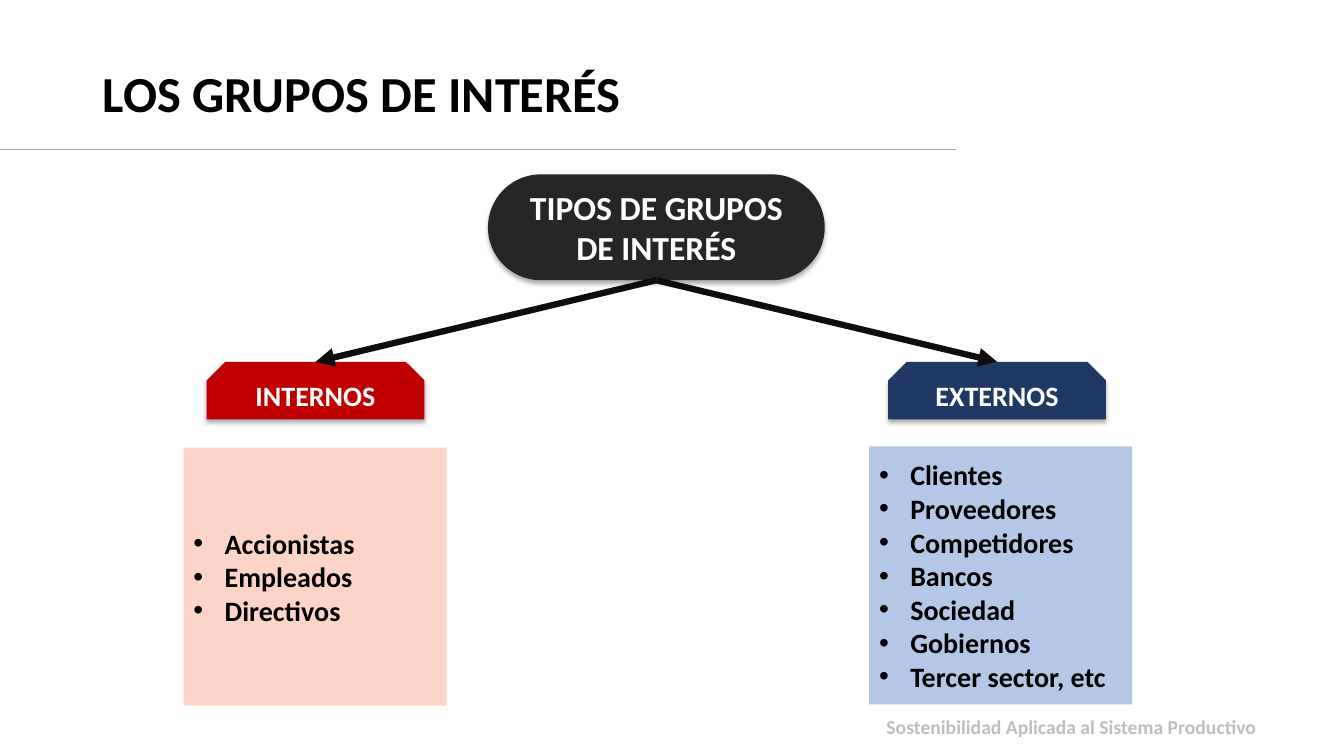
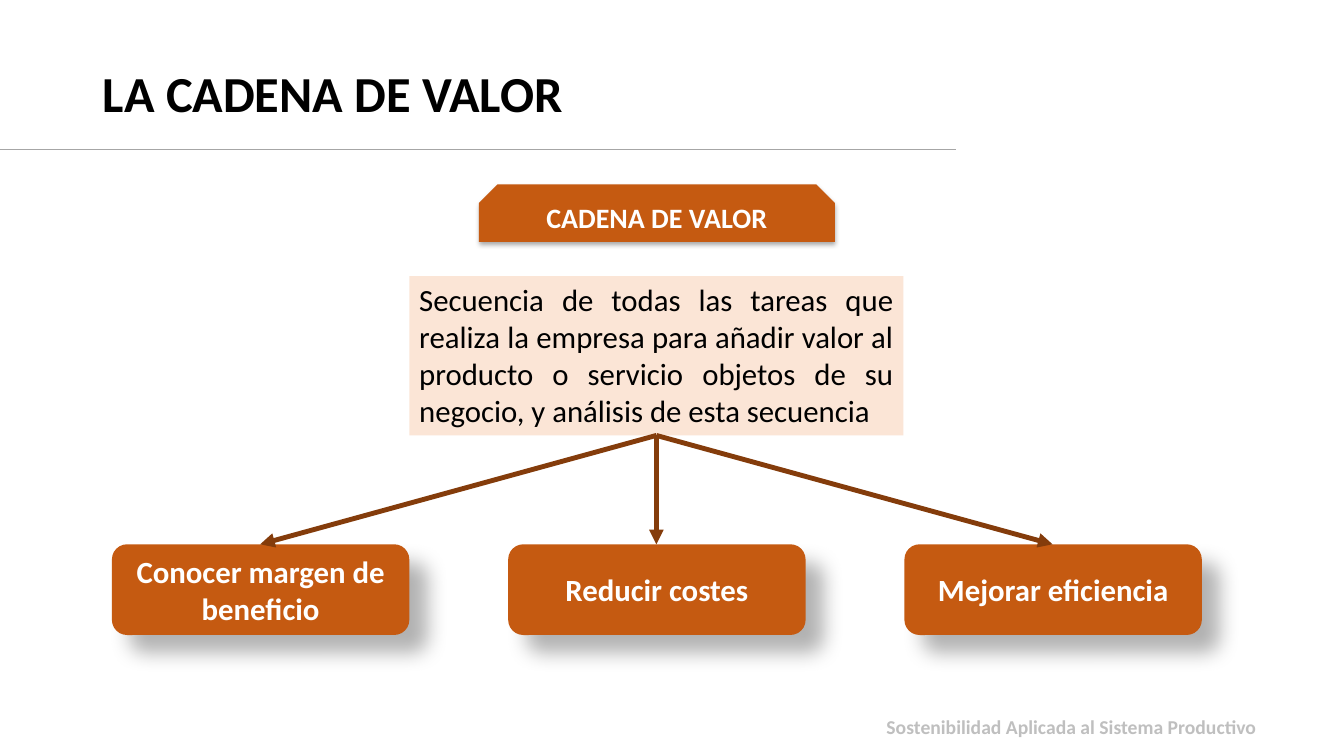
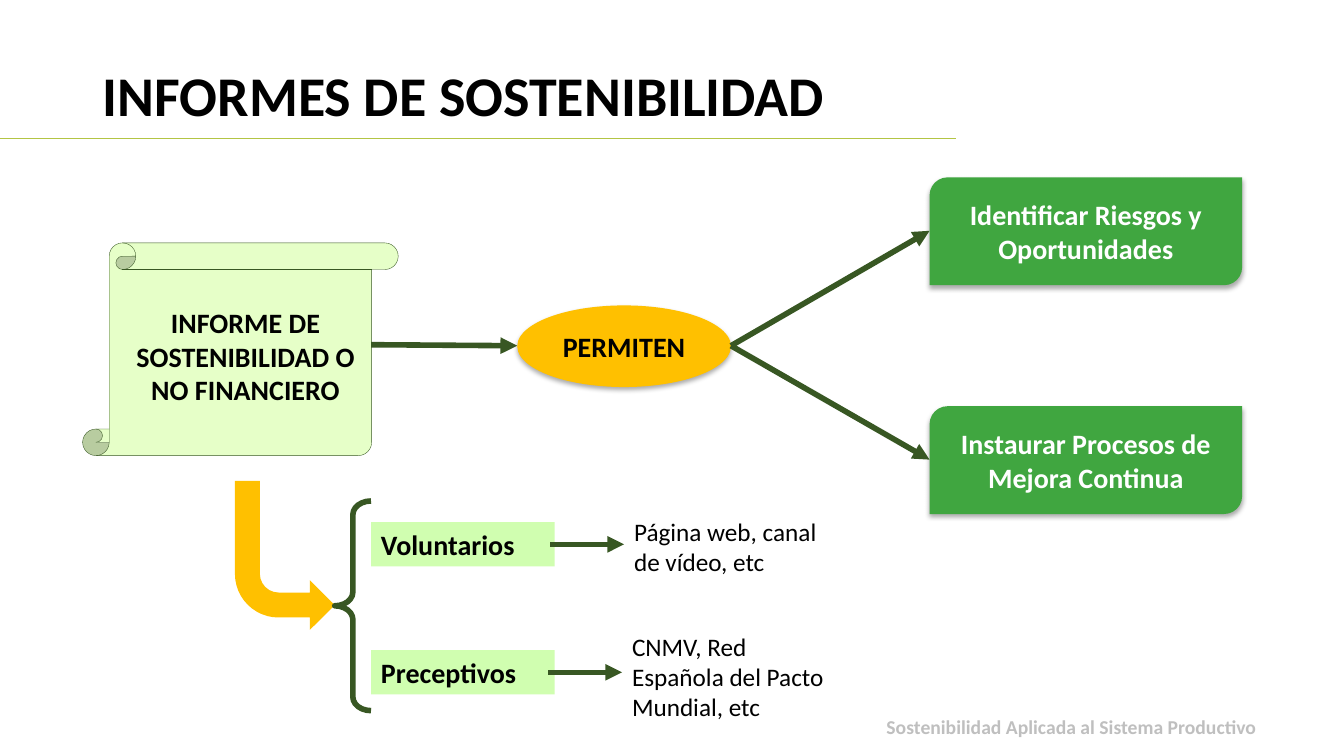
from dataclasses import dataclass
from typing import Optional

from lxml.etree import SubElement
from pptx import Presentation
from pptx.dml.color import RGBColor as Rgb
from pptx.enum.shapes import MSO_CONNECTOR as Conn, MSO_SHAPE as Geo
from pptx.enum.text import MSO_ANCHOR as Anchor, MSO_AUTO_SIZE as Fit, PP_ALIGN as Align
from pptx.oxml.ns import qn
from pptx.util import Pt

# Shared style
PX = 9144  # one px is a hundredth of an inch
FONT = "Calibri"
FOOT = "Sostenibilidad Aplicada al Sistema Productivo"
BLACK = Rgb(0x00, 0x00, 0x00)
WHITE = Rgb(0xFF, 0xFF, 0xFF)
SILVER = Rgb(0xBF, 0xBF, 0xBF)
GREY = Rgb(0xA6, 0xA6, 0xA6)
LIME = Rgb(0xB3, 0xC5, 0x44)
COAL = Rgb(0x26, 0x26, 0x26)
INK = Rgb(0x0D, 0x0D, 0x0D)
RED = Rgb(0xC0, 0x00, 0x00)
ROSE = Rgb(0xFC, 0xD4, 0xC8)
NAVY = Rgb(0x20, 0x38, 0x64)
SKY = Rgb(0xB4, 0xC7, 0xE7)
RUST = Rgb(0xC5, 0x5A, 0x11)
PEACH = Rgb(0xFB, 0xE5, 0xD6)
BROWN = Rgb(0x84, 0x3C, 0x0B)
GREEN = Rgb(0x40, 0xA6, 0x40)
MOSS = Rgb(0x38, 0x57, 0x23)
MINT = Rgb(0xD0, 0xFE, 0xB0)
PALE = Rgb(0xE6, 0xFF, 0xC8)
GOLD = Rgb(0xFF, 0xC0, 0x00)


@dataclass(frozen=True)
class Box:
    x: int
    y: int
    w: int
    h: int

    @property
    def area(self) -> tuple:
        return tuple(v * PX for v in (self.x, self.y, self.w, self.h))

    @property
    def top(self) -> tuple:
        return self.x + self.w // 2, self.y

    @property
    def base(self) -> tuple:
        return self.x + self.w // 2, self.y + self.h

    @property
    def left(self) -> tuple:
        return self.x, self.y + self.h // 2

    @property
    def right(self) -> tuple:
        return self.x + self.w, self.y + self.h // 2


@dataclass(frozen=True)
class Shade:
    alpha: int
    blur: float
    dist: float
    angle: int


@dataclass(frozen=True)
class Group:
    name: str
    tab: Box
    panel: Box
    dark: Rgb
    light: Rgb
    items: tuple


@dataclass(frozen=True)
class Kind:
    name: str
    tag: Box
    note: Box
    text: str


SOFT = Shade(32, 3.5, 2.2, 90)
DEEP = Shade(30, 15, 18, 45)


# Drawing tools
def write(shape, text: str, *, size: int = 20, bold: bool = True, color: Rgb = BLACK,
          align: Align = Align.CENTER, anchor: Anchor = Anchor.MIDDLE,
          space: Optional[float] = None, bullet: bool = False) -> None:
    frame = shape.text_frame
    frame.word_wrap = True
    frame.auto_size = Fit.NONE
    frame.vertical_anchor = anchor
    for i, line in enumerate(text.split("\n")):
        para = frame.paragraphs[0] if i == 0 else frame.add_paragraph()
        para.alignment = align
        if space:
            para.line_spacing = space
        if bullet:
            props = para._p.get_or_add_pPr()
            props.set("marL", str(31 * PX))
            props.set("indent", str(-31 * PX))
            SubElement(props, qn("a:buFont"), typeface="Arial")
            SubElement(props, qn("a:buChar"), char="•")
        run = para.add_run()
        run.text = line
        font = run.font
        font.name, font.size, font.bold = FONT, Pt(size), bold
        font.color.rgb = color


def block(slide, geo: Geo, box: Box, fill: Optional[Rgb], text: str = "", *,
          shade: Optional[Shade] = None, adjust: tuple = (), line: Optional[Rgb] = None,
          width: float = 1, flip: bool = False, **style):
    shape = slide.shapes.add_shape(geo, *box.area)
    for i, value in enumerate(adjust):
        shape.adjustments[i] = value
    if fill is None:
        shape.fill.background()
    else:
        shape.fill.solid()
        shape.fill.fore_color.rgb = fill
    if line is None:
        shape.line.fill.background()
    else:
        shape.line.color.rgb = line
        shape.line.width = Pt(width)
    if flip:
        shape._element.spPr.find(qn("a:xfrm")).set("flipV", "1")
    shape.shadow.inherit = False
    if shade:
        effects = shape._element.spPr.find(qn("a:effectLst"))
        outer = SubElement(effects, qn("a:outerShdw"), blurRad=str(Pt(shade.blur)),
                           dist=str(Pt(shade.dist)), dir=str(shade.angle * 60000),
                           algn="t", rotWithShape="0")
        tint = SubElement(outer, qn("a:srgbClr"), val=str(BLACK))
        SubElement(tint, qn("a:alpha"), val=str(shade.alpha * 1000))
    if text:
        write(shape, text, **style)
    return shape


def tab(slide, box: Box, fill: Rgb, text: str) -> None:
    block(slide, Geo.SNIP_2_SAME_RECTANGLE, box, fill, text, shade=SOFT,
          adjust=(0.323, 0), color=WHITE)


def label(slide, box: Box, text: str, **style) -> None:
    write(slide.shapes.add_textbox(*box.area), text, **style)


def rule(slide, start: tuple, end: tuple, color: Rgb, width: float, head: bool = True) -> None:
    ends = [v * PX for v in start + end]
    line = slide.shapes.add_connector(Conn.STRAIGHT, *ends)
    line.line.color.rgb = color
    line.line.width = Pt(width)
    if head:
        SubElement(line.line._get_or_add_ln(), qn("a:tailEnd"), type="triangle")
    SubElement(line._element.spPr, qn("a:effectLst"))


def start(deck, title: str, size: int = 36, level: int = 148, color: Rgb = GREY):
    """Add a slide with its title, rule and footer."""
    slide = deck.slides.add_slide(deck.slide_layouts[5])
    head = slide.shapes.title
    head.left, head.top, head.width, head.height = Box(92, 58, 1006, 145).area
    write(head, title, size=size, align=Align.LEFT, anchor=Anchor.TOP, space=0.9)
    head.text_frame.margin_top = 10 * PX
    rule(slide, (-1, level), (948, level), color, 0.5, head=False)
    label(slide, Box(736, 707, 520, 49), FOOT, size=14, color=SILVER,
          align=Align.RIGHT, anchor=Anchor.TOP, space=0.9)
    return slide


# Slides
def groups(deck) -> None:
    slide = start(deck, "LOS GRUPOS DE INTERÉS")
    root = Box(484, 173, 334, 105)
    block(slide, Geo.ROUNDED_RECTANGLE, root, COAL, "TIPOS DE GRUPOS DE INTERÉS",
          shade=SOFT, adjust=(0.5,), size=24, color=WHITE)
    sides = (
        Group("INTERNOS", Box(205, 359, 216, 57), Box(182, 444, 261, 256), RED, ROSE,
              ("Accionistas", "Empleados", "Directivos")),
        Group("EXTERNOS", Box(881, 359, 216, 57), Box(862, 443, 261, 256), NAVY, SKY,
              ("Clientes", "Proveedores", "Competidores", "Bancos", "Sociedad",
               "Gobiernos", "Tercer sector, etc")),
    )
    for side in sides:
        tab(slide, side.tab, side.dark, side.name)
        block(slide, Geo.RECTANGLE, side.panel, side.light, "\n".join(side.items),
              align=Align.JUSTIFY, bullet=True)
        rule(slide, root.base, side.tab.top, INK, 4.5)


def chain(deck) -> None:
    slide = start(deck, "LA CADENA DE VALOR")
    tab(slide, Box(475, 183, 353, 57), RUST, "CADENA DE VALOR")
    idea = Box(406, 274, 490, 158)
    block(slide, Geo.RECTANGLE, idea, PEACH,
          "Secuencia de todas las tareas que realiza la empresa para añadir valor al "
          "producto o servicio objetos de su negocio, y análisis de esta secuencia",
          size=22, bold=False, align=Align.JUSTIFY, anchor=Anchor.TOP)
    goals = ("Conocer margen de beneficio", "Reducir costes", "Mejorar eficiencia")
    for i, goal in enumerate(goals):
        box = Box(111 + 393 * i, 540, 295, 90)
        block(slide, Geo.ROUNDED_RECTANGLE, box, RUST, goal, shade=DEEP, size=22, color=WHITE)
        rule(slide, idea.base, box.top, BROWN, 3.5)


def reports(deck) -> None:
    slide = start(deck, "INFORMES DE SOSTENIBILIDAD", size=40, level=137, color=LIME)
    # Report and what it allows
    scroll = block(slide, Geo.VERTICAL_SCROLL, Box(82, 241, 313, 211), PALE,
                   "INFORME DE SOSTENIBILIDAD O NO FINANCIERO", line=MOSS, width=0.25)
    scroll.text_frame.margin_left = 20 * PX
    hub = Box(513, 303, 212, 81)
    block(slide, Geo.OVAL, hub, GOLD, "PERMITEN", shade=SOFT)
    rule(slide, (368, 342), hub.left, MOSS, 4)
    gains = ("Identificar Riesgos y Oportunidades", "Instaurar Procesos de Mejora Continua")
    for i, gain in enumerate(gains):
        box = Box(922, 176 + 227 * i, 310, 107)
        block(slide, Geo.ROUND_2_DIAG_RECTANGLE, box, GREEN, gain, shade=SOFT, color=WHITE)
        rule(slide, hub.right, box.left, MOSS, 4)
    # Kinds of report
    block(slide, Geo.BENT_ARROW, Box(233, 477, 99, 148), GOLD, flip=True)
    block(slide, Geo.LEFT_BRACE, Box(332, 497, 36, 208), None, adjust=(0.377, 0.5),
          line=MOSS, width=4)
    kinds = (
        Kind("Voluntarios", Box(368, 518, 182, 44), Box(619, 507, 212, 71),
             "Página web, canal de vídeo, etc"),
        Kind("Preceptivos", Box(368, 645, 182, 44), Box(617, 621, 212, 101),
             "CNMV, Red Española del Pacto Mundial, etc"),
    )
    for kind in kinds:
        block(slide, Geo.RECTANGLE, kind.tag, MINT, kind.name, align=Align.LEFT,
              anchor=Anchor.TOP)
        tip, level = kind.note.x, kind.tag.left[1]
        rule(slide, (tip - 73, level), (tip, level), MOSS, 4)
        label(slide, kind.note, kind.text, size=18, bold=False, align=Align.LEFT,
              anchor=Anchor.TOP)


def main() -> None:
    deck = Presentation()
    deck.slide_width, deck.slide_height = 1333 * PX, 750 * PX
    for draw in (groups, chain, reports):
        draw(deck)
    deck.save("out.pptx")


if __name__ == "__main__":
    main()
